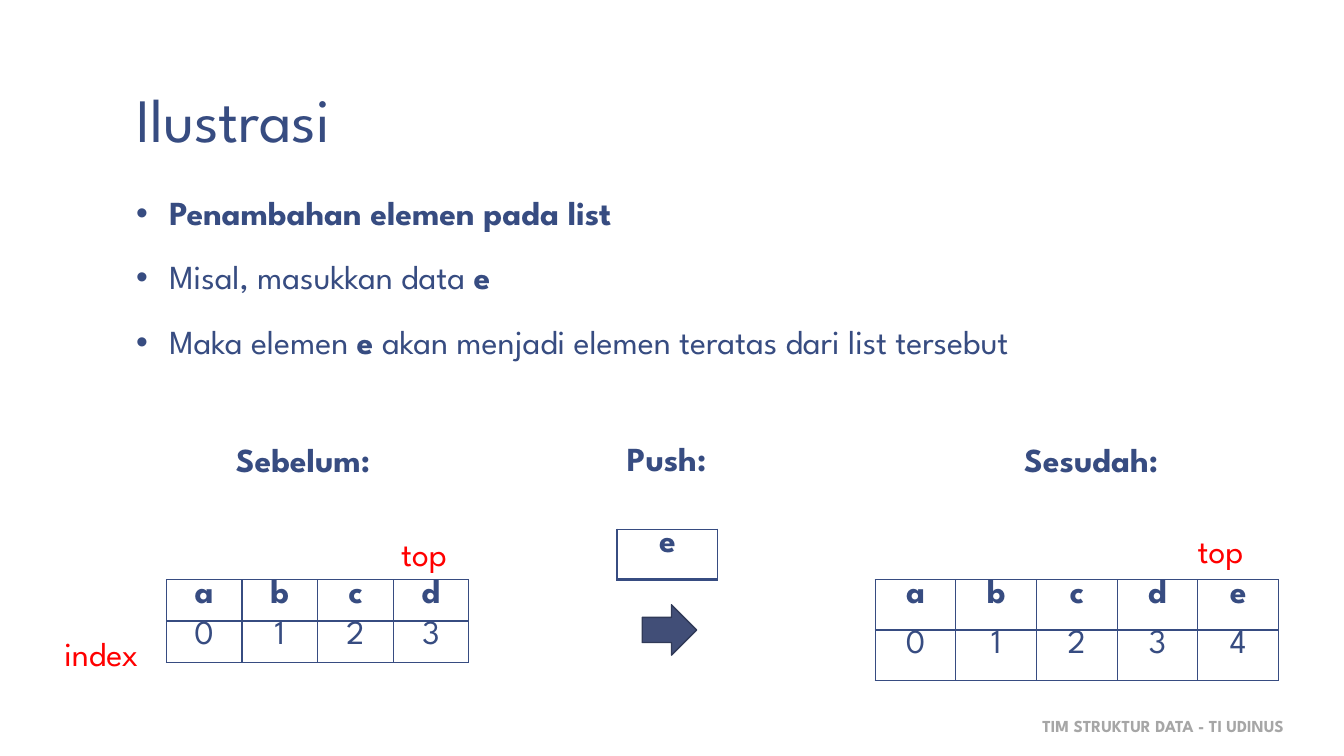
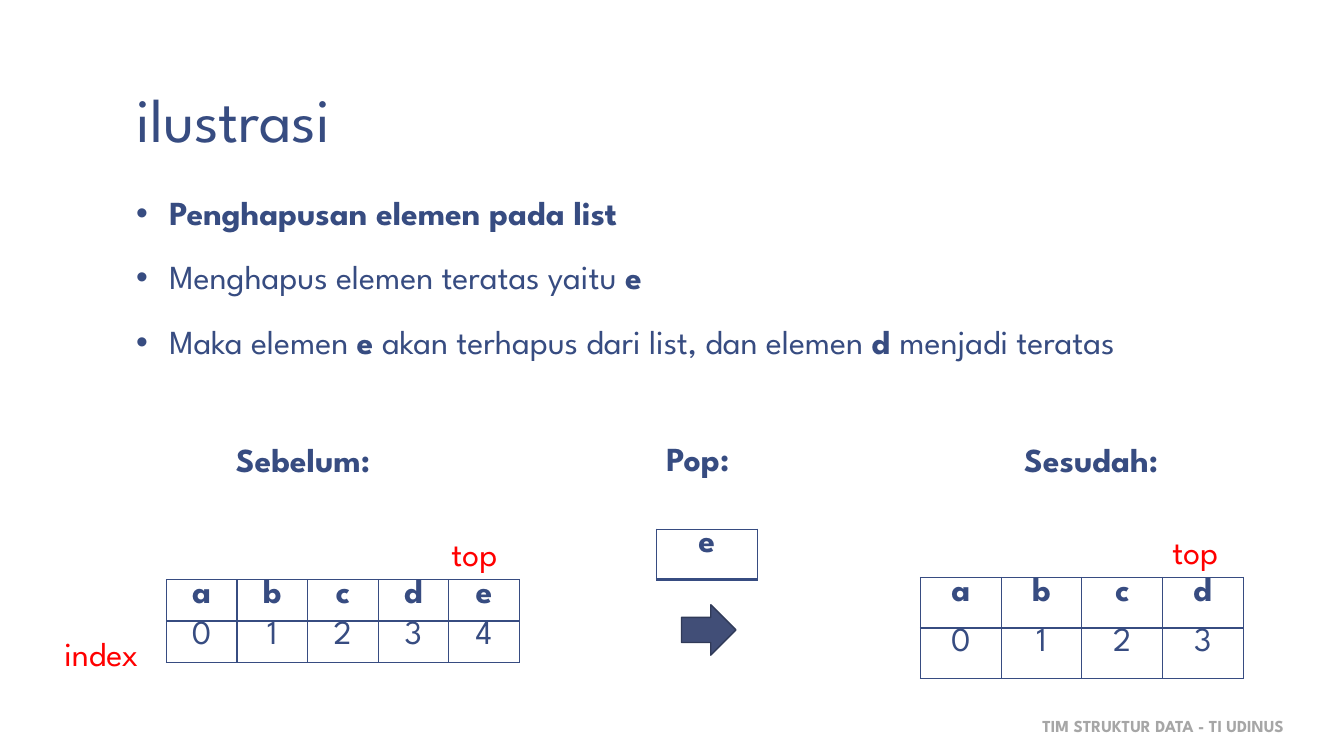
from lxml import etree
from pptx import Presentation
from pptx.dml.color import RGBColor
from pptx.enum import shapes, text
from pptx.oxml import ns
from pptx.util import Inches, Pt

FONT = "League Spartan"
NAVY, RED, GREY = "374C81", "FF0000", "A6A6A6"
ARROW_FILL, ARROW_LINE = "414E77", "303A58"
FOOTER = "TIM STRUKTUR DATA - TI UDINUS"

# Words between asterisks are bold. Each list has its elements, left, top,
# column width, row height and the place of its "top" label.
SLIDES = [
    {
        "title": "Ilustrasi",
        "points": [
            "*Penambahan elemen pada list*",
            "Misal, masukkan data *e*",
            "Maka elemen *e *akan menjadi elemen teratas dari list tersebut",
        ],
        "operation": ("Push:", "e", 6.12, 1.04),
        "lists": [
            ("abcd", 1.65, 5.75, 0.75, 0.41, (3.88, 5.24)),
            ("abcde", 8.68, 5.75, 0.8, 0.5, (11.78, 5.21)),
        ],
    },
    {
        "title": "ilustrasi",
        "points": [
            "*Penghapusan elemen pada list*",
            "Menghapus elemen teratas yaitu *e*",
            "Maka elemen *e *akan terhapus dari list, dan elemen *d *menjadi teratas",
        ],
        "operation": ("Pop:", "e", 6.51, 0.92),
        "lists": [
            ("abcde", 1.65, 5.75, 0.7, 0.41, (4.38, 5.24)),
            ("abcd", 9.13, 5.73, 0.8, 0.5, (11.53, 5.22)),
        ],
    },
]


def rgb(color):
    return RGBColor.from_string(color)


def set_font(paragraph, size=24, color=NAVY, bold=None):
    font = paragraph.font
    font.name, font.size, font.bold = FONT, Pt(size), bold
    font.color.rgb = rgb(color)


def add_label(slide, words, left, top, width, height=0.5, **style):
    """Add one line of text in a box that fits it."""
    box = slide.shapes.add_textbox(*map(Inches, (left, top, width, height)))
    frame = box.text_frame
    frame.word_wrap = False
    frame.auto_size = text.MSO_AUTO_SIZE.SHAPE_TO_FIT_TEXT
    frame.text = words
    set_font(frame.paragraphs[0], **style)


def add_text_area(slide, left, top, width, height):
    box = slide.shapes.add_textbox(*map(Inches, (left, top, width, height)))
    frame = box.text_frame
    frame.word_wrap = True
    frame.margin_left = frame.margin_right = Inches(0.13)
    frame.margin_top = frame.margin_bottom = Inches(0.07)
    return frame


def add_title(slide, words):
    frame = add_text_area(slide, 1.22, 0.08, 11.11, 1.53)
    frame.vertical_anchor = text.MSO_ANCHOR.BOTTOM
    frame.text = words
    frame.paragraphs[0].line_spacing = 0.85
    set_font(frame.paragraphs[0], size=44)


def add_bullet(paragraph):
    properties = paragraph._p.get_or_add_pPr()
    properties.set("marL", str(Inches(0.33)))
    properties.set("indent", str(-Inches(0.33)))
    etree.SubElement(properties, ns.qn("a:buFont"), typeface="Arial")
    etree.SubElement(properties, ns.qn("a:buChar"), char="•")


def add_points(slide, points):
    frame = add_text_area(slide, 1.22, 1.86, 11.33, 2.44)
    for number, point in enumerate(points):
        paragraph = frame.add_paragraph() if number else frame.paragraphs[0]
        add_bullet(paragraph)
        paragraph.line_spacing = 0.95
        if number:
            paragraph.space_before = Pt(18.7)
        set_font(paragraph)
        for index, part in enumerate(point.split("*")):
            if part:
                run = paragraph.add_run()
                run.text = part
                run.font.bold = index % 2 == 1


def add_borders(cell, bottom):
    properties = cell._tc.get_or_add_tcPr()
    for side, points in zip("LRTB", (1, 1, 1, bottom)):
        line = etree.SubElement(properties, ns.qn(f"a:ln{side}"), w=str(Pt(points)))
        fill = etree.SubElement(line, ns.qn("a:solidFill"))
        etree.SubElement(fill, ns.qn("a:srgbClr"), val=NAVY)


def add_cells(slide, rows, left, top, column_width, row_height):
    """Draw a grid whose first row is bold with a thicker rule below."""
    columns = len(rows[0])
    size = column_width * columns, row_height * len(rows)
    table = slide.shapes.add_table(
        len(rows), columns, *map(Inches, (left, top, *size))).table
    table.first_row = table.horz_banding = False
    for column in table.columns:
        column.width = Inches(column_width)
    for r, row in enumerate(rows):
        table.rows[r].height = Inches(row_height)
        for c, value in enumerate(row):
            cell = table.cell(r, c)
            cell.margin_top = cell.margin_bottom = 0
            add_borders(cell, bottom=1 if r else 2)
            cell.fill.background()
            cell.text = value
            paragraph = cell.text_frame.paragraphs[0]
            paragraph.alignment = text.PP_ALIGN.CENTER
            set_font(paragraph, bold=r == 0)


def add_operation(slide, name, element, left, width):
    add_label(slide, name, left, 4.3, width, bold=True)
    add_cells(slide, [element], left, 5.25, 1, 0.5)
    arrow = slide.shapes.add_shape(
        shapes.MSO_SHAPE.RIGHT_ARROW,
        *map(Inches, (left + 0.25, 6, 0.54, 0.5)))
    arrow.shadow.inherit = False
    arrow.fill.solid()
    arrow.fill.fore_color.rgb = rgb(ARROW_FILL)
    arrow.line.color.rgb = rgb(ARROW_LINE)
    arrow.line.width = Pt(1)


def add_list(slide, elements, left, top, column_width, row_height, top_label):
    indexes = [str(i) for i in range(len(elements))]
    add_cells(slide, [elements, indexes], left, top, column_width, row_height)
    add_label(slide, "top", *top_label, 0.77, color=RED)


def build_slide(deck, content):
    slide = deck.slides.add_slide(deck.slide_layouts[6])
    add_label(slide, FOOTER, 10.24, 7.05, 2.67, 0.3, size=12, color=GREY, bold=True)
    add_title(slide, content["title"])
    add_points(slide, content["points"])
    add_label(slide, "Sebelum:", 2.24, 4.31, 1.72, bold=True)
    add_label(slide, "Sesudah:", 10.06, 4.31, 1.68, bold=True)
    add_label(slide, "index", 0.54, 6.23, 1.09, color=RED)
    add_operation(slide, *content["operation"])
    for stack in content["lists"]:
        add_list(slide, *stack)


def main():
    deck = Presentation()
    deck.slide_width, deck.slide_height = Inches(13.33), Inches(7.5)
    for content in SLIDES:
        build_slide(deck, content)
    deck.save("out.pptx")


if __name__ == "__main__":
    main()
